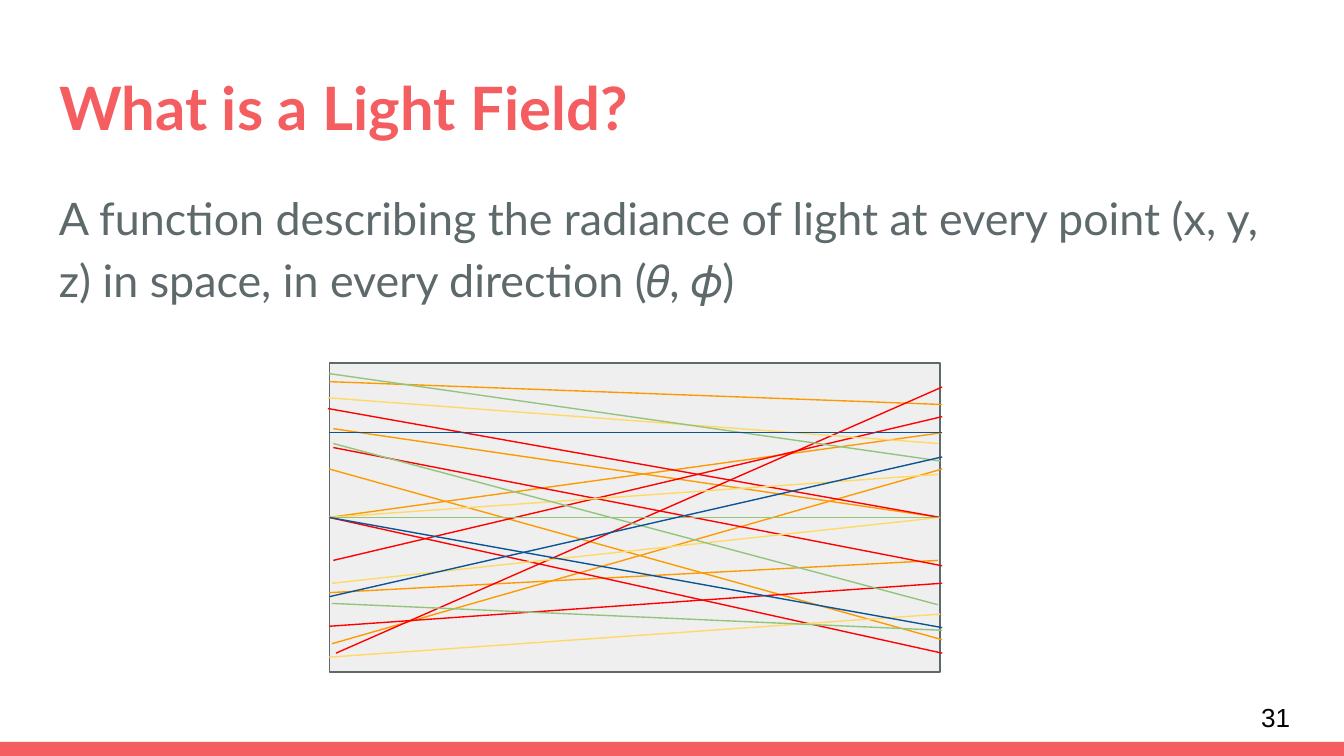
from lxml.etree import SubElement
from pptx import Presentation
from pptx.dml.color import RGBColor as Rgb
from pptx.enum.shapes import MSO_CONNECTOR as Connector, MSO_SHAPE as Shape
from pptx.enum.text import MSO_ANCHOR as Anchor, MSO_AUTO_SIZE as AutoSize, PP_ALIGN as Align
from pptx.oxml.ns import qn
from pptx.util import Pt

PX = 4572
COLORS = {
    "coral": "F55E61", "slate": "5E696C", "black": "000000", "panel": "EFEFEF",
    "orange": "FF9900", "red": "FF0000", "yellow": "FFD966",
    "green": "93C47D", "blue": "0B5394",
}
RAYS = {
    "orange": [(0, 28, 912, 62), (0, 230, 912, 104), (6, 98, 909, 230),
               (4, 418, 912, 158), (0, 342, 906, 294), (0, 158, 912, 412)],
    "red": [(-2, 68, 909, 230), (6, 294, 912, 80), (0, 392, 912, 328),
            (0, 230, 912, 432), (6, 126, 912, 302), (10, 432, 912, 36)],
    "yellow": [(-2, 52, 906, 120), (4, 328, 909, 230), (0, 438, 909, 374),
               (0, 230, 906, 166)],
    "green": [(0, 16, 909, 146), (0, 230, 909, 230), (4, 358, 912, 398),
              (6, 120, 906, 360)],
    "blue": [(0, 104, 912, 104), (0, 348, 912, 140), (0, 230, 912, 394)],
}


def emu(*lengths):
    """Turn px lengths into EMU."""
    return [length * PX for length in lengths]


def color(name):
    """Look up a named colour."""
    return Rgb.from_string(COLORS[name])


def assign(target, values):
    """Set each named value on the target."""
    for name, value in values.items():
        setattr(target, name, value)


def write(shape, text, ink, font, anchor=Anchor.TOP, paragraph=None):
    """Write one formatted paragraph into a shape."""
    frame = shape.text_frame
    margins = dict.fromkeys(
        ("margin_left", "margin_top", "margin_right", "margin_bottom"), 20 * PX)
    assign(frame, {"word_wrap": True, "auto_size": AutoSize.NONE,
                   "vertical_anchor": anchor, **margins})
    para = frame.paragraphs[0]
    assign(para, {"alignment": Align.LEFT, **(paragraph or {})})
    span = para.add_run()
    span.text = text
    assign(span.font, font)
    span.font.color.rgb = color(ink)


def add_rectangle(page, box, fill, outline=None):
    """Add a flat rectangle with an optional thin outline."""
    shape = page.shapes.add_shape(Shape.RECTANGLE, *emu(*box))
    shape.shadow.inherit = False
    shape.fill.solid()
    shape.fill.fore_color.rgb = color(fill)
    if outline:
        shape.line.color.rgb = color(outline)
        shape.line.width = Pt(0.75)
    else:
        shape.line.fill.background()
    return shape


def add_title(page, box, text):
    """Place the slide title."""
    title = page.shapes.title
    assign(title, dict(zip(("left", "top", "width", "height"), emu(*box))))
    write(title, text, "coral", {"name": "Lato", "size": Pt(32), "bold": True})


def add_definition(page, box, text):
    """Place the definition below the title."""
    definition = page.shapes.add_textbox(*emu(*box))
    write(definition, text, "slate", {"name": "Lato", "size": Pt(24)},
          paragraph={"line_spacing": 1.15, "space_after": Pt(16)})


def add_footer(page, box, number):
    """Place the bottom band and the page number above it."""
    left, top, width, height = box
    add_rectangle(page, box, "coral")
    label = page.shapes.add_textbox(*emu(left + width - 143, top - 80, 120, 86))
    write(label, number, "black", {"name": "Arial", "size": Pt(14)}, Anchor.MIDDLE)


def add_light_field(page, box):
    """Draw the panel and the rays that cross it."""
    left, top, width, height = box
    panel = add_rectangle(page, box, "panel", "slate")
    for ink, rays in RAYS.items():
        for x1, y1, x2, y2 in rays:
            ray = page.shapes.add_connector(
                Connector.STRAIGHT, *emu(left + x1, top + y1, left + x2, top + y2))
            ray.line.color.rgb = color(ink)
            ray.line.width = Pt(0.75)
            SubElement(ray.element.spPr, qn("a:effectLst"))
            if (x1, y1) == (0, height // 2):
                ray.begin_connect(panel, 1)
            if (x2, y2) == (width, height // 2):
                ray.end_connect(panel, 3)


def main():
    """Build and save the slide."""
    deck = Presentation()
    deck.slide_width, deck.slide_height = emu(2000, 1125)
    page = deck.slides.add_slide(deck.slide_layouts[5])
    add_title(page, (68, 86, 1864, 136), "What is a Light Field?")
    add_definition(page, (68, 252, 1864, 748),
                   "A function describing the radiance of light at every point "
                   "(x, y, z) in space, in every direction (𝜃, 𝜙)")
    add_footer(page, (0, 1104, 2000, 21), "31")
    add_light_field(page, (490, 540, 909, 460))
    deck.save("out.pptx")


if __name__ == "__main__":
    main()
